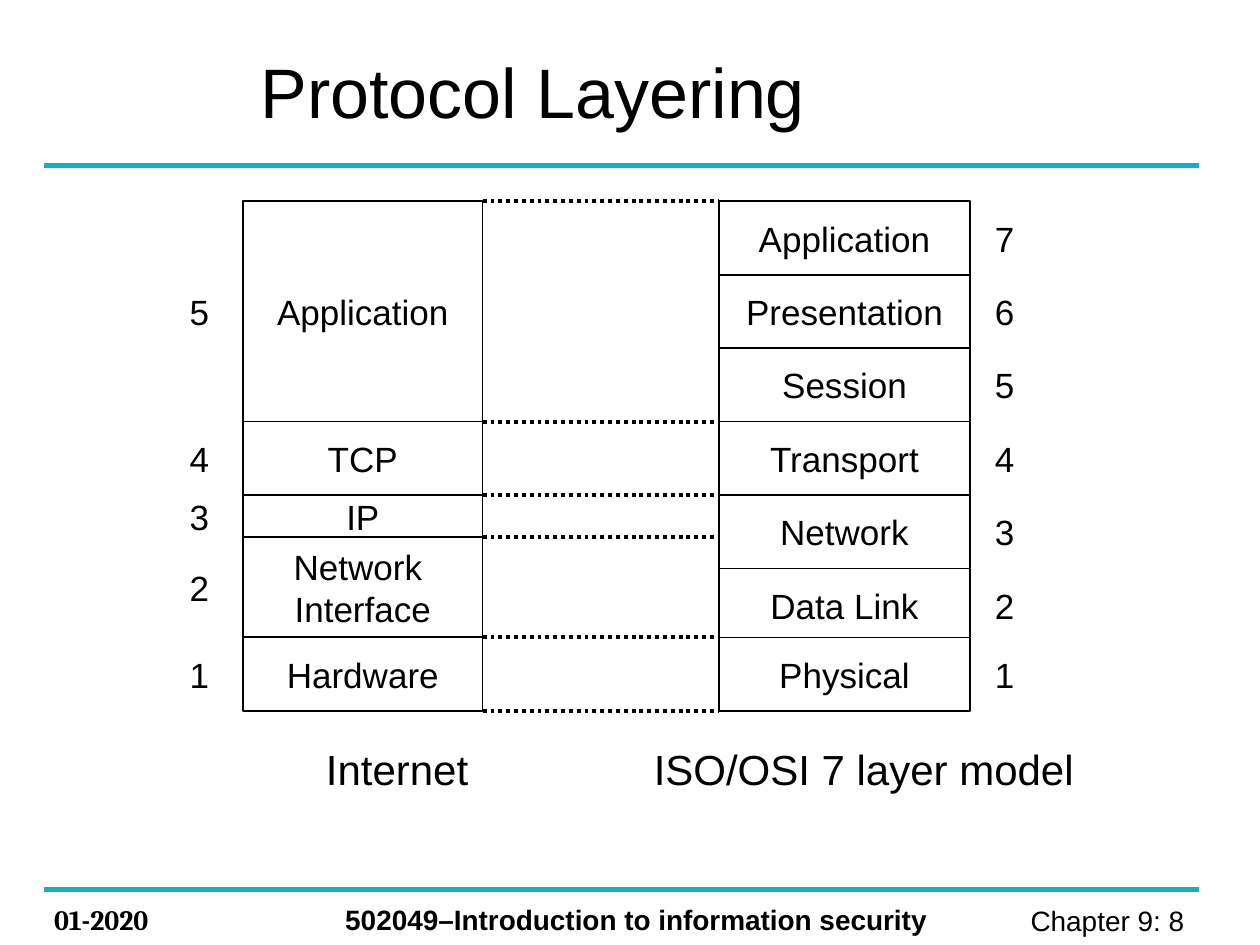
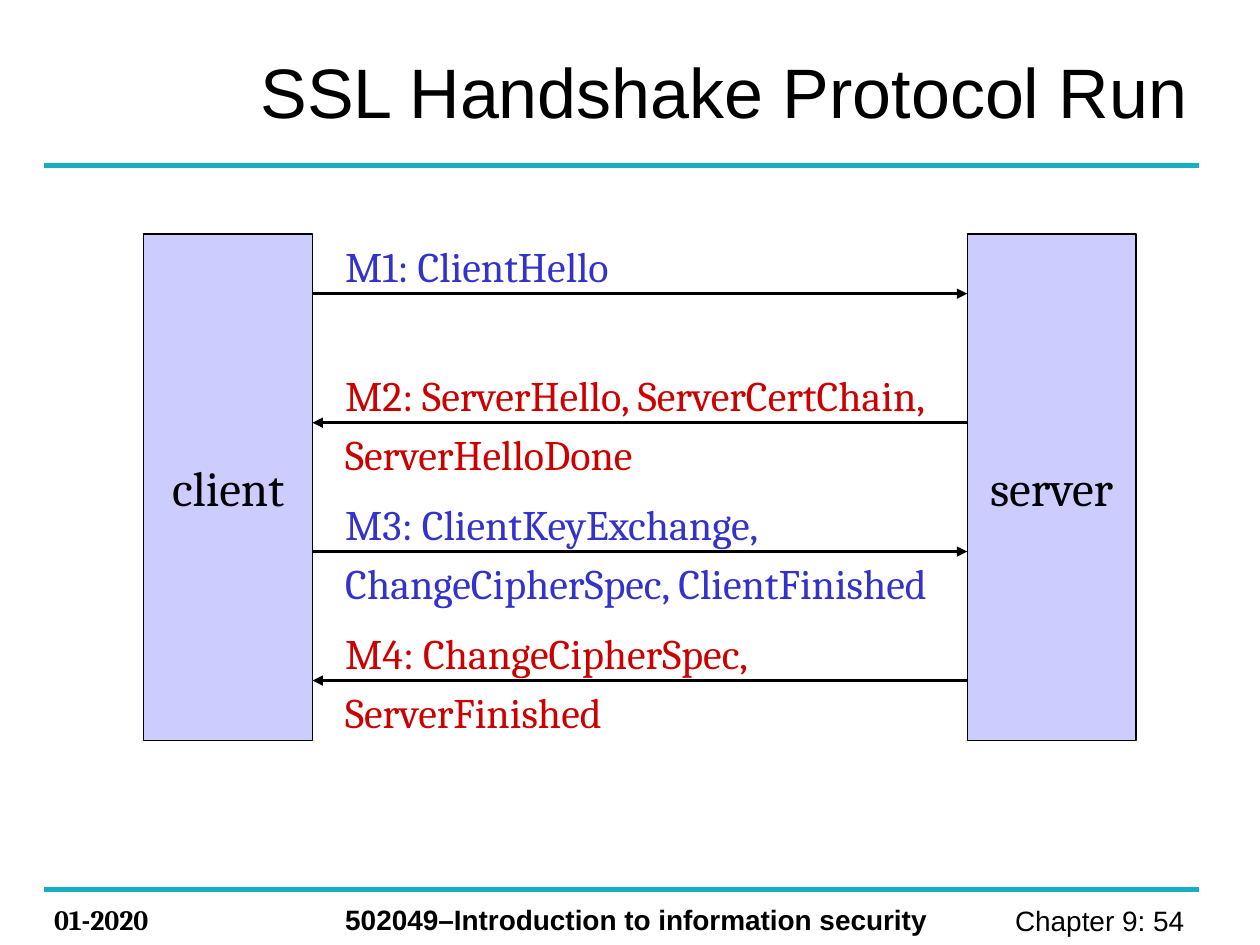
from dataclasses import dataclass

from lxml.etree import SubElement
from pptx import Presentation
from pptx.dml.color import RGBColor
from pptx.enum.dml import MSO_LINE
from pptx.enum.shapes import MSO_CONNECTOR as Connector, MSO_SHAPE as Preset
from pptx.enum.text import MSO_ANCHOR as Anchor, MSO_AUTO_SIZE as AutoSize, PP_ALIGN as Align
from pptx.oxml.ns import qn
from pptx.slide import Slide
from pptx.text.text import TextFrame
from pptx.util import Cm, Pt

# Colours and fonts
BLACK = RGBColor(0x00, 0x00, 0x00)
WHITE = RGBColor(0xFF, 0xFF, 0xFF)
TEAL = RGBColor(0x16, 0xAF, 0xC2)
LAVENDER = RGBColor(0xCC, 0xCC, 0xFF)
BLUE = RGBColor(0x33, 0x33, 0xCC)
RED = RGBColor(0xCC, 0x00, 0x00)
SANS = "Arial"
SERIF = "Cambria"


@dataclass(frozen=True)
class Style:
    size: float
    font: str = SANS
    color: RGBColor = BLACK
    bold: bool = False
    align: Align = Align.LEFT
    gap: float = 0  # points before each paragraph


@dataclass(frozen=True)
class Area:
    """A rectangle in centimetres."""
    left: float
    top: float
    width: float
    height: float

    def lengths(self) -> tuple:
        return Cm(self.left), Cm(self.top), Cm(self.width), Cm(self.height)


@dataclass(frozen=True)
class Layer:
    number: int
    lines: tuple
    top: float
    height: float


@dataclass(frozen=True)
class Message:
    lines: tuple
    from_client: bool


TITLE = Style(40)
FOOTER = Style(16)
FOOTER_BOLD = Style(16, bold=True)
DATE = Style(16, SERIF, bold=True)
LAYER = Style(20, align=Align.CENTER)
CAPTION = Style(24)
PARTY = Style(28, SERIF, align=Align.CENTER)


# Drawing helpers
def write(frame: TextFrame, lines: tuple, style: Style) -> None:
    for index, line in enumerate(lines):
        para = frame.paragraphs[0] if index == 0 else frame.add_paragraph()
        para.alignment = style.align
        if style.gap:
            para.space_before = Pt(style.gap)
        span = para.add_run()
        span.text = line
        span.font.size = Pt(style.size)
        span.font.name = style.font
        span.font.bold = style.bold
        span.font.color.rgb = style.color


def add_label(page: Slide, area: Area, lines: tuple, style: Style) -> None:
    frame = page.shapes.add_textbox(*area.lengths()).text_frame
    frame.word_wrap = True
    write(frame, lines, style)


def add_box(page: Slide, area: Area, lines: tuple, style: Style,
            fill: RGBColor = WHITE, line_width: float = 0) -> None:
    box = page.shapes.add_shape(Preset.RECTANGLE, *area.lengths())
    box.shadow.inherit = False
    box.fill.solid()
    box.fill.fore_color.rgb = fill
    if line_width:
        box.line.color.rgb = BLACK
        box.line.width = Pt(line_width)
    else:
        box.line.fill.background()
    frame = box.text_frame
    frame.word_wrap = False
    frame.vertical_anchor = Anchor.MIDDLE
    write(frame, lines, style)


def add_line(page: Slide, start: float, end: float, y: float, width: float,
             color: RGBColor = BLACK, dotted: bool = False, arrow: bool = False) -> None:
    """Draw a horizontal line at height y."""
    connector = page.shapes.add_connector(Connector.STRAIGHT, Cm(start), Cm(y), Cm(end), Cm(y))
    connector.line.color.rgb = color
    connector.line.width = Pt(width)
    if dotted:
        connector.line.dash_style = MSO_LINE.ROUND_DOT
    properties = connector._element.spPr
    if arrow:
        SubElement(properties.find(qn("a:ln")), qn("a:tailEnd"), type="triangle")
    SubElement(properties, qn("a:effectLst"))


def add_page(deck: Presentation, heading: str, number: int) -> Slide:
    """Add a slide with its title, two rules and footer."""
    page = deck.slides.add_slide(deck.slide_layouts[5])
    for y in (3.33, 17.93):
        add_line(page, 0.89, 24.18, y, 3, TEAL)
    add_label(page, Area(0.84, 18.06, 3.38, 0.94), ("01-2020",), DATE)
    add_label(page, Area(6.71, 18.06, 12.8, 0.94),
              ("502049–Introduction to information security",), FOOTER_BOLD)
    add_label(page, Area(18.69, 18.08, 5.59, 0.94), (f"Chapter 9: {number} ",),
              Style(FOOTER.size, align=Align.RIGHT))

    title = page.shapes.title
    title.left, title.top, title.width, title.height = Area(5, 0.71, 20.4, 2.21).lengths()
    frame = title.text_frame
    frame.auto_size = AutoSize.NONE
    frame.vertical_anchor = Anchor.MIDDLE
    write(frame, (heading,), TITLE)
    return page


def add_stack(page: Slide, layers: list, left: float, width: float, number_left: float) -> None:
    """Draw a column of layers with their numbers beside it."""
    for layer in layers:
        add_box(page, Area(left, layer.top, width, layer.height), layer.lines, LAYER, line_width=1)
        middle = layer.top + layer.height / 2
        add_box(page, Area(number_left, middle - 0.42, 0.98, 0.84), (str(layer.number),), LAYER)


deck = Presentation()
deck.slide_width, deck.slide_height = Cm(25.4), Cm(19.05)

# Protocol layers
page = add_page(deck, "Protocol Layering", 8)
STACK_TOP, ROW = 4.06, 1.48
PHYSICAL_TOP = 12.85
STACK_BOTTOM = PHYSICAL_TOP + ROW
INTERNET_LEFT, INTERNET_WIDTH = 4.9, 4.83
OSI_LEFT, OSI_WIDTH = 14.5, 5.05

osi_names = ("Application", "Presentation", "Session", "Transport", "Network", "Data Link")
osi_layers = [Layer(7 - row, (name,), STACK_TOP + row * ROW, ROW)
              for row, name in enumerate(osi_names)]
osi_layers.append(Layer(1, ("Physical",), PHYSICAL_TOP, ROW))

internet_names = (("Application",), ("TCP",), ("IP",), ("Network ", "Interface"), ("Hardware",))
edges = (STACK_TOP, STACK_TOP + 3 * ROW, STACK_TOP + 4 * ROW, 10.83, PHYSICAL_TOP, STACK_BOTTOM)
internet_layers = [Layer(5 - row, lines, edges[row], edges[row + 1] - edges[row])
                   for row, lines in enumerate(internet_names)]

add_stack(page, osi_layers, OSI_LEFT, OSI_WIDTH, 19.76)
add_stack(page, internet_layers, INTERNET_LEFT, INTERNET_WIDTH, 3.53)
for edge in edges:
    add_line(page, INTERNET_LEFT + INTERNET_WIDTH, OSI_LEFT, edge, 2.25, dotted=True)
add_label(page, Area(6.32, 14.86, 4, 1.27), ("Internet",), CAPTION)
add_label(page, Area(12.93, 14.86, 9.5, 1.27), ("ISO/OSI 7 layer model",), CAPTION)

# Handshake messages
page = add_page(deck, "SSL Handshake Protocol Run", 54)
PARTY_TOP, PARTY_WIDTH, PARTY_HEIGHT = 4.72, 3.4, 10.21
CLIENT_LEFT, SERVER_LEFT = 2.9, 19.5
CLIENT_EDGE = CLIENT_LEFT + PARTY_WIDTH
MESSAGE_STEP = 2.6

for left, name in ((CLIENT_LEFT, "client"), (SERVER_LEFT, "server")):
    add_box(page, Area(left, PARTY_TOP, PARTY_WIDTH, PARTY_HEIGHT), (name,), PARTY,
            LAVENDER, 0.75)

messages = (
    Message(("M1: ClientHello",), True),
    Message(("M2: ServerHello, ServerCertChain,", "ServerHelloDone"), False),
    Message(("M3: ClientKeyExchange,", "ChangeCipherSpec, ClientFinished"), True),
    Message(("M4: ChangeCipherSpec,", "ServerFinished"), False),
)
for index, message in enumerate(messages):
    top = PARTY_TOP + index * MESSAGE_STEP
    ends = (CLIENT_EDGE, SERVER_LEFT) if message.from_client else (SERVER_LEFT, CLIENT_EDGE)
    add_line(page, *ends, top + 1.2, 1.5, arrow=True)
    color = BLUE if message.from_client else RED
    height = 1.27 if len(message.lines) == 1 else 2.49
    add_label(page, Area(6.71, top, 12.75, height), message.lines,
              Style(24, SERIF, color, gap=4.8))

deck.save("out.pptx")
